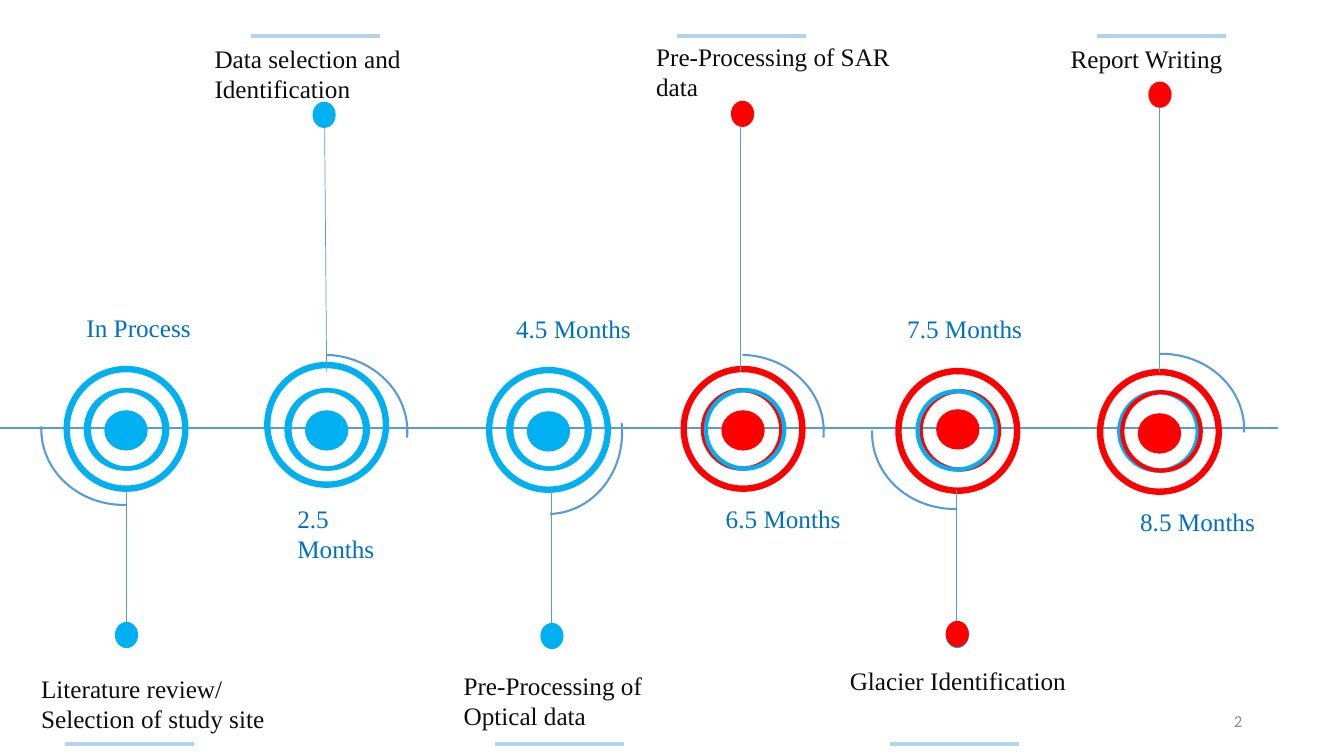
import dataclasses

import pptx
import pptx.dml.color
import pptx.enum.shapes
import pptx.enum.text
import pptx.oxml.ns
import pptx.util
from lxml import etree

RGB = pptx.dml.color.RGBColor
SHAPE = pptx.enum.shapes.MSO_SHAPE
ALIGN = pptx.enum.text.PP_ALIGN
ANCHOR = pptx.enum.text.MSO_ANCHOR

SKY = RGB(0x00, 0xB0, 0xF0)
RED = RGB(0xFF, 0x00, 0x00)
LINE_BLUE = RGB(0x5B, 0x9B, 0xD5)
PALE_BLUE = RGB(0xB5, 0xD2, 0xEC)
TIME_BLUE = RGB(0x00, 0x70, 0xC0)
INK = RGB(0x0D, 0x0D, 0x0D)
GREY = RGB(0x8C, 0x8C, 0x8C)
SERIF = "Times New Roman"

SLIDE_SIZE = (13.33, 7.5)
AXIS_Y = 4.25
AXIS_PARTS = [(0, 5.3), (4.99, 10.29), (7.38, 12.68)]
BAR_WIDTH = 1.28
RING = (1.24, 1.25)
INNER_RING = (0.82, 0.82)
CORE = (0.43, 0.4)
DOT = (0.23, 0.26)
ARC = (1.64, 1.5)
RING_THICKNESS = 0.051
ARC_ANGLES = (52.88, 109.24)
LEFT, RIGHT = -0.01, 0.02  # shifts of the two inner rings


@dataclasses.dataclass
class Milestone:
    task: tuple       # paragraphs
    task_box: tuple   # left, top, width, height
    time: str
    time_box: tuple
    color: RGB
    center: tuple     # of the outer ring
    inner_y: float    # of the inner rings
    core_y: float
    inner: tuple      # (shift, colour) from back to front
    arc: tuple        # centre x, centre y, rotation
    stem: tuple       # x at the dot, x at the ring
    dot: tuple        # centre
    bar_left: float
    dots: tuple = ()  # (colour, shift down) behind the dot

    @property
    def upward(self):
        return self.dot[1] < AXIS_Y


BLUE_PAIR = ((LEFT, SKY), (RIGHT, SKY))
MILESTONES = [
    Milestone(("Literature review/", "Selection of study site"), (0.31, 6.63, 2.66, 0.71),
              "In Process", (0.76, 3.05, 1.96, 0.4), SKY, (1.25, 4.255), 4.26, 4.27,
              BLUE_PAIR, (1.23, 4.26, 0), (1.25, 1.25), (1.255, 6.3), 0.64),
    Milestone(("Data selection and Identification",), (2.03, 0.38, 2.66, 0.71),
              "2.5 Months", (2.85, 4.94, 1.32, 0.71), SKY, (3.24, 4.215), 4.26, 4.27,
              BLUE_PAIR, (3.22, 4.27, 182.9), (3.22, 3.24), (3.215, 1.14), 2.49),
    Milestone(("Pre-Processing of Optical data",), (4.5, 6.6, 2.66, 0.71),
              "4.5 Months", (5.02, 3.06, 1.77, 0.71), SKY, (5.44, 4.265), 4.26, 4.28,
              BLUE_PAIR, (5.42, 4.28, 265.3), (5.47, 5.47), (5.475, 6.31), 4.91),
    Milestone(("Pre-Processing of SAR data",), (6.41, 0.36, 2.66, 0.71),
              "6.5 Months", (7.1, 4.94, 1.46, 0.71), RED, (7.37, 4.255), 4.26, 4.27,
              ((LEFT, RED), (RIGHT, SKY)), (7.35, 4.27, 182.9), (7.34, 7.34),
              (7.365, 1.13), 6.71),
    Milestone(("Glacier Identification",), (8.33, 6.55, 2.66, 0.4),
              "7.5 Months", (8.9, 3.06, 1.5, 0.71), RED, (9.5, 4.275), 4.27, 4.26,
              ((RIGHT, RED), (LEFT, SKY)), (9.47, 4.3, 0), (9.49, 9.49),
              (9.495, 6.29), 8.83, ((SKY, 0.01),)),
    Milestone(("Report Writing",), (10.52, 0.38, 2.66, 0.4),
              "8.5 Months", (11.21, 4.97, 1.82, 0.71), RED, (11.5, 4.285), 4.28, 4.3,
              ((LEFT, SKY), (RIGHT, RED)), (11.52, 4.26, 180), (11.5, 11.5),
              (11.505, 0.94), 10.88),
]


def inches(*lengths):
    return [pptx.util.Inches(length) for length in lengths]


def add_centered(page, kind, center, size, fill=None, adjustments=()):
    """Add a preset shape around its centre, filled or outlined."""
    (x, y), (width, height) = center, size
    shape = page.shapes.add_shape(kind, *inches(x - width / 2, y - height / 2, width, height))
    shape.shadow.inherit = False
    for index, value in enumerate(adjustments):
        shape.adjustments[index] = value
    if fill is None:
        shape.fill.background()
        shape.line.color.rgb = LINE_BLUE
        shape.line.width = pptx.util.Pt(1.5)
    else:
        shape.fill.solid()
        shape.fill.fore_color.rgb = fill
        shape.line.fill.background()
    return shape


def add_line(page, start, end, color, width):
    line = page.shapes.add_connector(
        pptx.enum.shapes.MSO_CONNECTOR.STRAIGHT, *inches(*start, *end))
    line.line.color.rgb = color
    line.line.width = pptx.util.Pt(width)
    etree.SubElement(line._element.spPr, pptx.oxml.ns.qn("a:effectLst"))


def add_text(page, lines, box, color, font=SERIF, size=18, align=ALIGN.LEFT, anchor=ANCHOR.TOP):
    frame = page.shapes.add_textbox(*inches(*box)).text_frame
    frame.word_wrap = True
    frame.vertical_anchor = anchor
    frame.text = "\n".join(lines)
    for para in frame.paragraphs:
        para.alignment = align
        para.font.name = font
        para.font.size = pptx.util.Pt(size)
        para.font.color.rgb = color


def add_target(page, stone):
    x = stone.center[0]
    add_centered(page, SHAPE.OVAL, (x, stone.core_y), CORE, stone.color)
    for shift, color in stone.inner:
        add_centered(page, SHAPE.DONUT, (x + shift, stone.inner_y), INNER_RING, color,
                     [RING_THICKNESS])
    add_centered(page, SHAPE.DONUT, stone.center, RING, stone.color, [RING_THICKNESS])


def add_branch(page, stone):
    """Add the stem, end dot, arc and edge bar of a milestone."""
    x, y = stone.dot
    ring_y, toward_ring, bar_y = (3.69, 1, 0.36) if stone.upward else (4.86, -1, 7.38)
    outer_x, inner_x = stone.stem
    add_line(page, (outer_x, y + toward_ring * DOT[1] / 2), (inner_x, ring_y), LINE_BLUE, 0.5)
    for color, shift in (*stone.dots, (stone.color, 0)):
        add_centered(page, SHAPE.OVAL, (x, y + shift), DOT, color)
    arc_x, arc_y, rotation = stone.arc
    arc = add_centered(page, SHAPE.ARC, (arc_x, arc_y), ARC, adjustments=ARC_ANGLES)
    arc.rotation = rotation
    add_line(page, (stone.bar_left, bar_y), (stone.bar_left + BAR_WIDTH, bar_y), PALE_BLUE, 3)


def main():
    deck = pptx.Presentation()
    deck.slide_width, deck.slide_height = inches(*SLIDE_SIZE)
    page = deck.slides.add_slide(deck.slide_layouts[6])
    for start, end in AXIS_PARTS:
        add_line(page, (start, AXIS_Y), (end, AXIS_Y), LINE_BLUE, 1.5)
    for stone in MILESTONES:
        add_target(page, stone)
        add_branch(page, stone)
        add_text(page, [stone.time], stone.time_box, TIME_BLUE)
        add_text(page, stone.task, stone.task_box, INK)
    add_text(page, ["2"], (9.42, 6.95, 3, 0.4), GREY, "Calibri", 12, ALIGN.RIGHT, ANCHOR.MIDDLE)
    deck.save("out.pptx")


if __name__ == "__main__":
    main()
